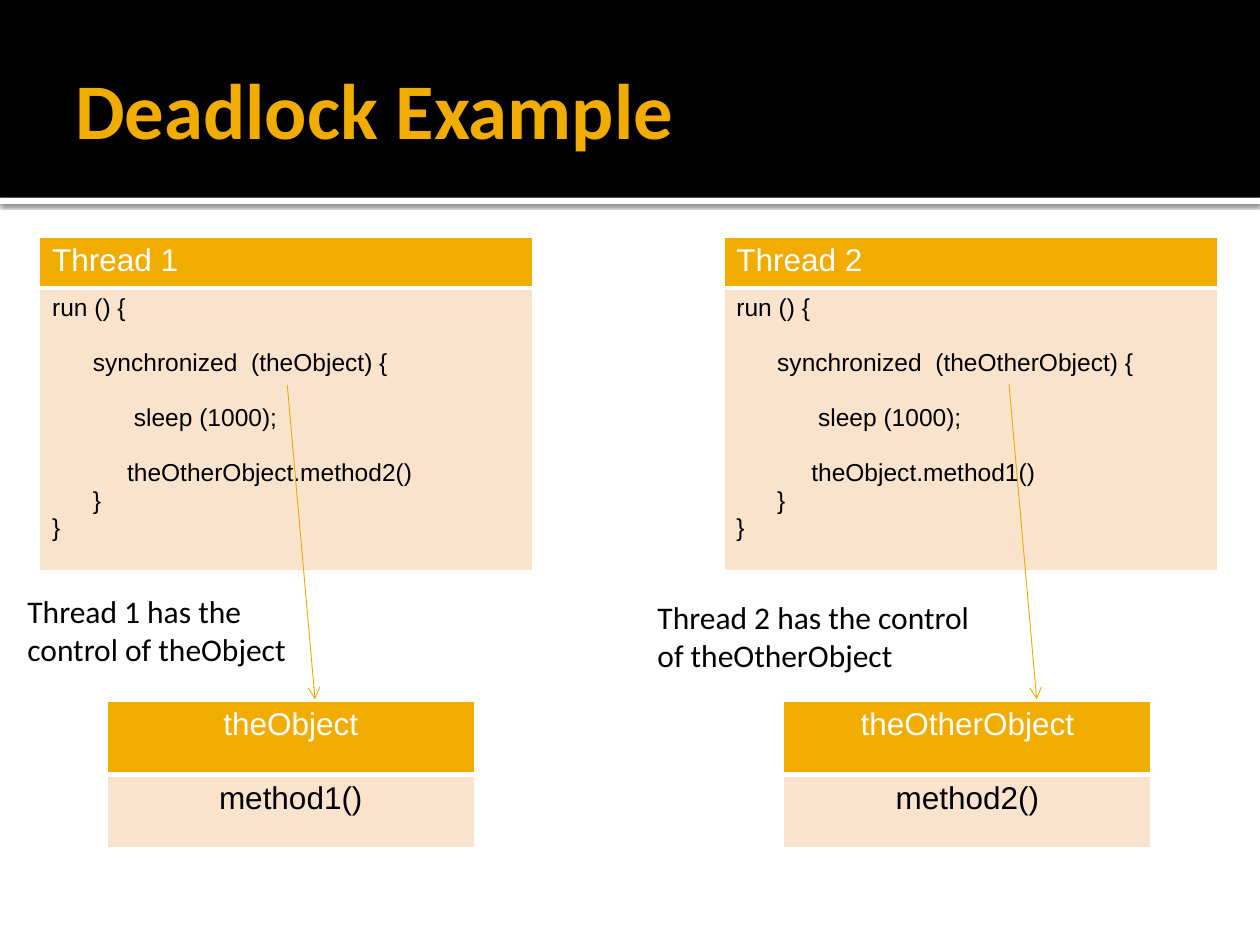
from dataclasses import dataclass

from lxml.etree import SubElement
from pptx import Presentation
from pptx.dml.color import RGBColor
from pptx.enum.shapes import MSO_CONNECTOR, MSO_SHAPE
from pptx.enum.text import MSO_ANCHOR, PP_ALIGN
from pptx.oxml import parse_xml
from pptx.oxml.ns import nsdecls, qn
from pptx.util import Pt


@dataclass(frozen=True)
class Theme:
    gold: str = "F0AD00"
    arrow: str = "EBA900"
    cream: str = "F9E3CC"
    black: str = "000000"
    white: str = "FFFFFF"
    title_size: float = 45
    body_size: float = 18
    code_size: float = 14
    heading_font: str = "Calibri"
    table_font: str = "Arial"


THEME = Theme()
SPACE = 3.89       # width of one code space
CODE_GAP = 15.7    # height of one empty code line


def set_format(target, **values):
    for attribute, value in values.items():
        setattr(target, attribute, value)


def write(paragraph, wording, color, size, font, bold=False):
    run = paragraph.add_run()
    run.text = wording
    set_format(run.font, name=font, size=Pt(size), bold=bold)
    run.font.color.rgb = RGBColor.from_string(color)


def add_band(slide, top, height, color):
    band = slide.shapes.add_shape(MSO_SHAPE.RECTANGLE, 0, Pt(top), Pt(720), Pt(height))
    band.shadow.inherit = False
    band.fill.solid()
    band.fill.fore_color.rgb = RGBColor.from_string(color)
    band.line.fill.background()
    return band


def add_shadow(band):
    effects = band._element.spPr.find(qn("a:effectLst"))
    effects.append(parse_xml(
        f'<a:outerShdw {nsdecls("a")} blurRad="{Pt(2.5)}" dist="{Pt(0.8)}" dir="5400000" '
        f'algn="tl" rotWithShape="0"><a:srgbClr val="{THEME.black}">'
        '<a:alpha val="60000"/></a:srgbClr></a:outerShdw>'))


def add_text(slide, box, wording, color, size, bold=False, **frame_format):
    label = slide.shapes.add_textbox(*map(Pt, box)).text_frame
    set_format(label, word_wrap=True, **frame_format)
    write(label.paragraphs[0], wording, color, size, THEME.heading_font, bold)


def style_cell(cell, color, bottom_width):
    cell.fill.solid()
    cell.fill.fore_color.rgb = RGBColor.from_string(color)
    properties = cell._tc.get_or_add_tcPr()
    # Borders come before the fill
    for position, side in enumerate("LRTB"):
        width = bottom_width if side == "B" else 1
        properties.insert(position, parse_xml(
            f'<a:ln{side} {nsdecls("a")} w="{Pt(width)}"><a:solidFill>'
            f'<a:srgbClr val="{THEME.white}"/></a:solidFill></a:ln{side}>'))


def add_box(slide, left, top, width, heights):
    """Add a gold header cell above a cream body cell and return both."""
    table = slide.shapes.add_table(
        2, 1, Pt(left), Pt(top), Pt(width), Pt(sum(heights))).table
    set_format(table, first_row=False, horz_banding=False)
    for row, height in zip(table.rows, heights):
        row.height = Pt(height)
    header, body = table.cell(0, 0), table.cell(1, 0)
    style_cell(header, THEME.gold, 3)
    style_cell(body, THEME.cream, 1)
    return header, body


def add_thread(slide, left, name, locked, call):
    header, body = add_box(slide, left, 135.4, 282, (29.2, 161.6))
    write(header.text_frame.paragraphs[0], name, THEME.white,
          THEME.body_size, THEME.table_font)
    # Code lines: wording, indent in spaces, gap above
    code = [("run () {", 0, 0),
            (f"synchronized  ({locked}) {{", 6, CODE_GAP),
            ("sleep (1000);", 12, CODE_GAP),
            (call, 11, CODE_GAP),
            ("}", 6, 0),
            ("}", 0, 0)]
    for number, (wording, indent, gap) in enumerate(code):
        frame = body.text_frame
        line = frame.add_paragraph() if number else frame.paragraphs[0]
        line.space_before = Pt(gap)
        line._p.get_or_add_pPr().set("marL", str(Pt(indent * SPACE)))
        write(line, wording, THEME.black, THEME.code_size, THEME.table_font)


def add_object(slide, left, name, method):
    cells = add_box(slide, left, 400.6, 210, (42, 42))
    for cell, wording, color in zip(cells, (name, method), (THEME.white, THEME.black)):
        line = cell.text_frame.paragraphs[0]
        line.alignment = PP_ALIGN.CENTER
        write(line, wording, color, THEME.body_size, THEME.table_font)


def add_arrow(slide, left, top):
    arrow = slide.shapes.add_connector(
        MSO_CONNECTOR.STRAIGHT, Pt(left), Pt(top), Pt(left + 15.8), Pt(399.6))
    arrow.line.width = Pt(0.5)
    arrow.line.color.rgb = RGBColor.from_string(THEME.arrow)
    SubElement(arrow.line._get_or_add_ln(), qn("a:tailEnd"), type="arrow")
    SubElement(arrow._element.spPr, qn("a:effectLst"))


def main():
    deck = Presentation()
    set_format(deck, slide_width=Pt(720), slide_height=Pt(540))
    slide = deck.slides.add_slide(deck.slide_layouts[6])

    # Title banner
    add_shadow(add_band(slide, 113, 3.6, THEME.white))
    add_band(slide, 0, 113, THEME.black)
    add_text(slide, (36, 12.2, 648, 98.6), "Deadlock Example", THEME.gold,
             THEME.title_size, bold=True, vertical_anchor=MSO_ANCHOR.MIDDLE,
             margin_right=Pt(3.6))

    # Threads and the code they run
    add_thread(slide, 22.6, "Thread 1", "theObject", "theOtherObject.method2()")
    add_thread(slide, 413.6, "Thread 2", "theOtherObject", "theObject.method1()")

    # Locked objects
    add_object(slide, 61.2, "theObject", "method1()")
    add_object(slide, 447.8, "theOtherObject", "method2()")

    # Who holds which lock
    add_text(slide, (8.6, 334.8, 174, 51), "Thread 1 has the control of theObject",
             THEME.black, THEME.body_size)
    add_text(slide, (368.6, 338, 198, 51), "Thread 2 has the control of theOtherObject",
             THEME.black, THEME.body_size)
    add_arrow(slide, 164.2, 220.3)
    add_arrow(slide, 576.6, 219.6)

    deck.save("out.pptx")


if __name__ == "__main__":
    main()
